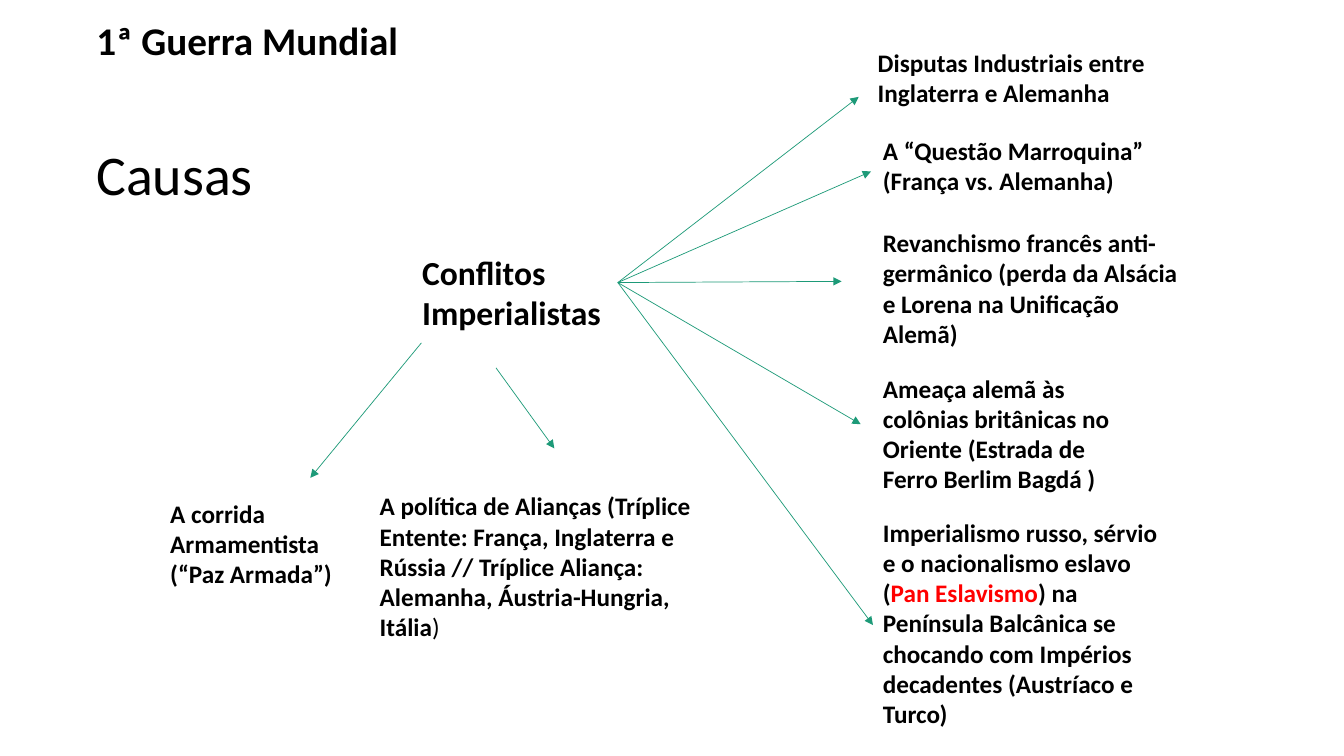
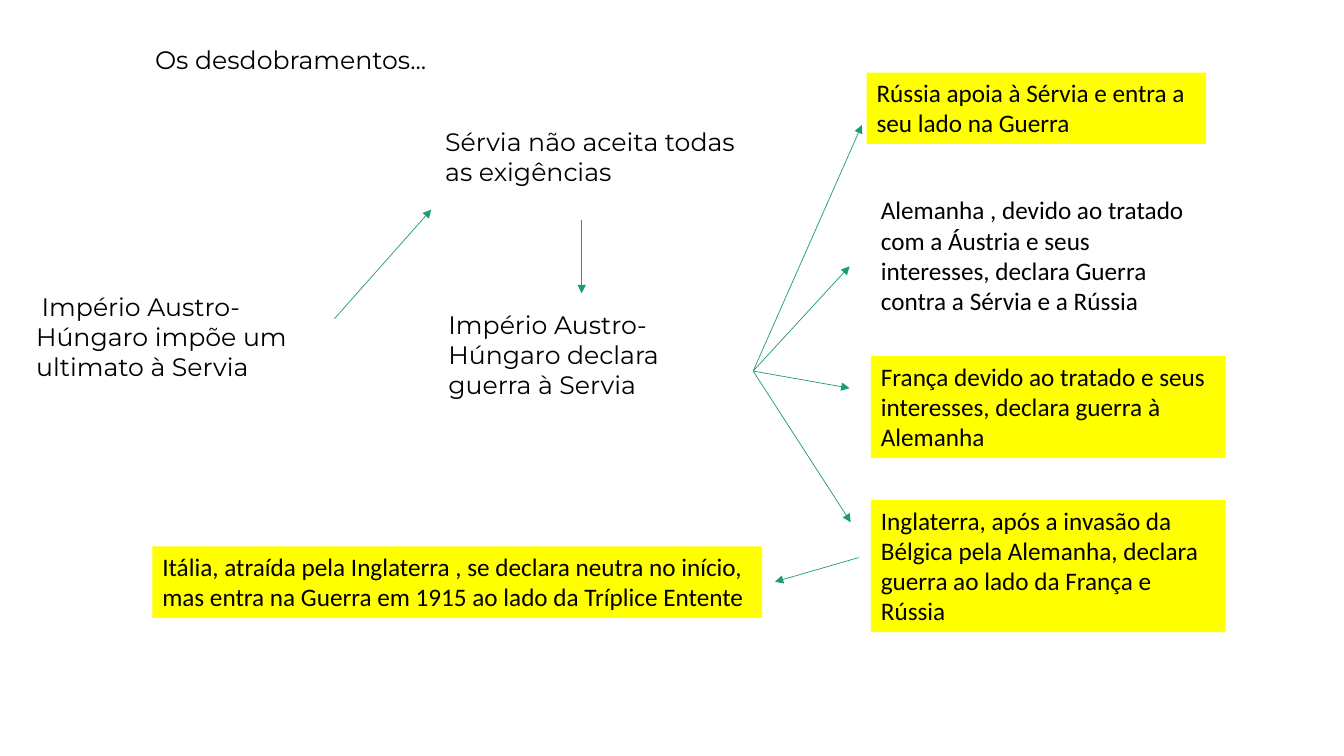
from dataclasses import dataclass

from lxml import etree
from pptx import Presentation
from pptx.dml.color import RGBColor
from pptx.enum.shapes import MSO_CONNECTOR as Connector, MSO_SHAPE as Shape
from pptx.enum.text import MSO_ANCHOR as Anchor, MSO_AUTO_SIZE as AutoSize, PP_ALIGN as Align
from pptx.oxml.ns import qn
from pptx.util import Cm, Pt


@dataclass(frozen=True)
class Theme:
    text: RGBColor = RGBColor(0x00, 0x00, 0x00)
    accent: RGBColor = RGBColor(0xFF, 0x00, 0x00)
    arrow: RGBColor = RGBColor(0x1D, 0x9A, 0x78)
    plain: RGBColor = RGBColor(0xFF, 0xFF, 0xFF)
    highlight: RGBColor = RGBColor(0xFF, 0xFF, 0x00)
    body_font: str = "Calibri"
    display_font: str = "Montserrat"
    body_size: int = 18
    topic_size: int = 24
    title_size: int = 28
    section_size: int = 40
    arrow_width: float = 0.5


class Deck:
    def __init__(self, theme):
        self.theme = theme
        self.presentation = Presentation()
        self.presentation.slide_width = Cm(33.87)
        self.presentation.slide_height = Cm(19.05)
        self.slide = None

    def new_slide(self):
        self.slide = self.presentation.slides.add_slide(self.presentation.slide_layouts[6])

    def fill_text(self, shape, lines, size=None, bold=False, font=None, wrap=True, indent=0):
        frame = shape.text_frame
        frame.word_wrap = wrap
        frame.auto_size = AutoSize.SHAPE_TO_FIT_TEXT
        frame.vertical_anchor = Anchor.TOP
        for index, line in enumerate(lines):
            paragraph = frame.paragraphs[0] if index == 0 else frame.add_paragraph()
            paragraph.alignment = Align.LEFT
            if indent:
                paragraph._p.get_or_add_pPr().set("indent", str(Cm(indent)))
            paragraph.font.name = font or self.theme.body_font
            paragraph.font.size = Pt(size or self.theme.body_size)
            paragraph.font.bold = bold
            paragraph.font.color.rgb = self.theme.text
            for part in [line] if isinstance(line, str) else line:
                text, style = (part, {}) if isinstance(part, str) else part
                run = paragraph.add_run()
                run.text = text
                if "color" in style:
                    run.font.color.rgb = style["color"]
                if "bold" in style:
                    run.font.bold = style["bold"]

    def text(self, box, *lines, **style):
        self.fill_text(self.slide.shapes.add_textbox(*map(Cm, box)), lines, **style)

    def card(self, box, line, fill, **style):
        shape = self.slide.shapes.add_shape(Shape.RECTANGLE, *map(Cm, box))
        shape.shadow.inherit = False
        shape.fill.solid()
        shape.fill.fore_color.rgb = fill
        shape.line.fill.background()
        self.fill_text(shape, [line], **style)

    def arrow(self, start, end):
        connector = self.slide.shapes.add_connector(
            Connector.STRAIGHT, *map(Cm, (*start, *end)))
        connector.line.color.rgb = self.theme.arrow
        connector.line.width = Pt(self.theme.arrow_width)
        etree.SubElement(connector.line._get_or_add_ln(), qn("a:tailEnd"), type="triangle")
        etree.SubElement(connector._element.spPr, qn("a:effectLst"))

    def fan(self, hub, ends):
        for end in ends:
            self.arrow(hub, end)


def build_causes(deck):
    theme = deck.theme
    deck.new_slide()
    deck.text((2.18, 0.28, 15.14, 1.45), "1ª Guerra Mundial", size=theme.title_size, bold=True)
    deck.text((2.18, 3.38, 4.5, 1.96), "Causas", size=theme.section_size, wrap=False)
    deck.text((10.39, 6.22, 5.69, 2.29), "Conflitos Imperialistas",
              size=theme.topic_size, bold=True)

    causes = [
        ((21.87, 1.07, 8.53, 1.8), "Disputas Industriais entre Inglaterra e Alemanha"),
        ((22, 3.28, 7.49, 1.8), "A “Questão Marroquina”", "(França vs. Alemanha)"),
        ((22, 5.61, 8.08, 3.33),
         "Revanchismo francês anti-germânico (perda da Alsácia e Lorena na Unificação Alemã)"),
        ((22, 9.27, 7.04, 3.33),
         "Ameaça alemã às colônias britânicas no Oriente (Estrada de Ferro Berlim Bagdá )"),
        ((22, 12.9, 7.85, 5.64),
         ["Imperialismo russo, sérvio e o nacionalismo eslavo (",
          ("Pan Eslavismo", {"color": theme.accent}),
          ") na Península Balcânica se chocando com Impérios decadentes (Austríaco e Turco)"]),
        ((4.04, 12.42, 5.33, 2.57), "A corrida Armamentista (“Paz Armada”)"),
        ((9.32, 12.24, 9.27, 4.11),
         ["A política de Alianças (Tríplice Entente: França, Inglaterra e Rússia // "
          "Tríplice Aliança: Alemanha, Áustria-Hungria, Itália", (")", {"bold": False})]),
    ]
    for box, *lines in causes:
        deck.text(box, *lines, bold=True)

    deck.arrow((10.62, 8.64), (7.82, 12.04))
    deck.arrow((12.5, 9.27), (13.97, 11.3))
    deck.fan((15.57, 7.12), [(21.64, 2.44), (21.95, 4.32), (21.21, 7.09),
                             (21.69, 10.69), (22, 15.75)])


def build_developments(deck):
    theme = deck.theme
    deck.new_slide()
    deck.text((3.66, 0.99, 8.33, 1.02), "Os desdobramentos...", font=theme.display_font)

    events = [
        ((0.66, 7.21, 7.16, 2.57), "Império Austro-Húngaro impõe um ultimato à Servia", 0.14),
        ((10.97, 3.05, 8.56, 1.8), "Sérvia não aceita todas as exigências", 0),
        ((11.05, 7.67, 7.7, 2.57), "Império Austro-Húngaro declara guerra à Servia", 0),
    ]
    for box, line, indent in events:
        deck.card(box, line, theme.plain, font=theme.display_font, indent=indent)

    reactions = [
        ((21.84, 1.83, 8.56, 1.8), theme.highlight,
         "Rússia apoia à Sérvia e entra a seu lado na Guerra"),
        ((21.95, 4.78, 8.33, 3.33), theme.plain,
         "Alemanha , devido ao tratado com a Áustria e seus interesses, "
         "declara Guerra contra a Sérvia e a Rússia"),
        ((21.95, 8.97, 8.94, 2.57), theme.highlight,
         "França devido ao tratado e seus interesses, declara guerra à Alemanha"),
        ((21.95, 12.6, 8.94, 3.33), theme.highlight,
         "Inglaterra, após a invasão da Bélgica pela Alemanha, "
         "declara guerra ao lado da França e Rússia"),
        ((3.84, 13.77, 15.37, 1.8), theme.highlight,
         "Itália, atraída pela Inglaterra , se declara neutra no início, "
         "mas entra na Guerra em 1915 ao lado da Tríplice Entente"),
    ]
    for box, fill, line in reactions:
        deck.card(box, line, fill)

    deck.arrow((8.43, 8.03), (10.87, 5.28))
    deck.arrow((14.66, 5.54), (14.66, 7.39))
    deck.fan((18.98, 9.35), [(21.72, 3.15), (21.41, 6.71), (21.41, 9.78), (21.44, 13.16)])
    deck.arrow((21.64, 14.05), (19.53, 14.66))


def main():
    deck = Deck(Theme())
    build_causes(deck)
    build_developments(deck)
    deck.presentation.save("out.pptx")


if __name__ == "__main__":
    main()
